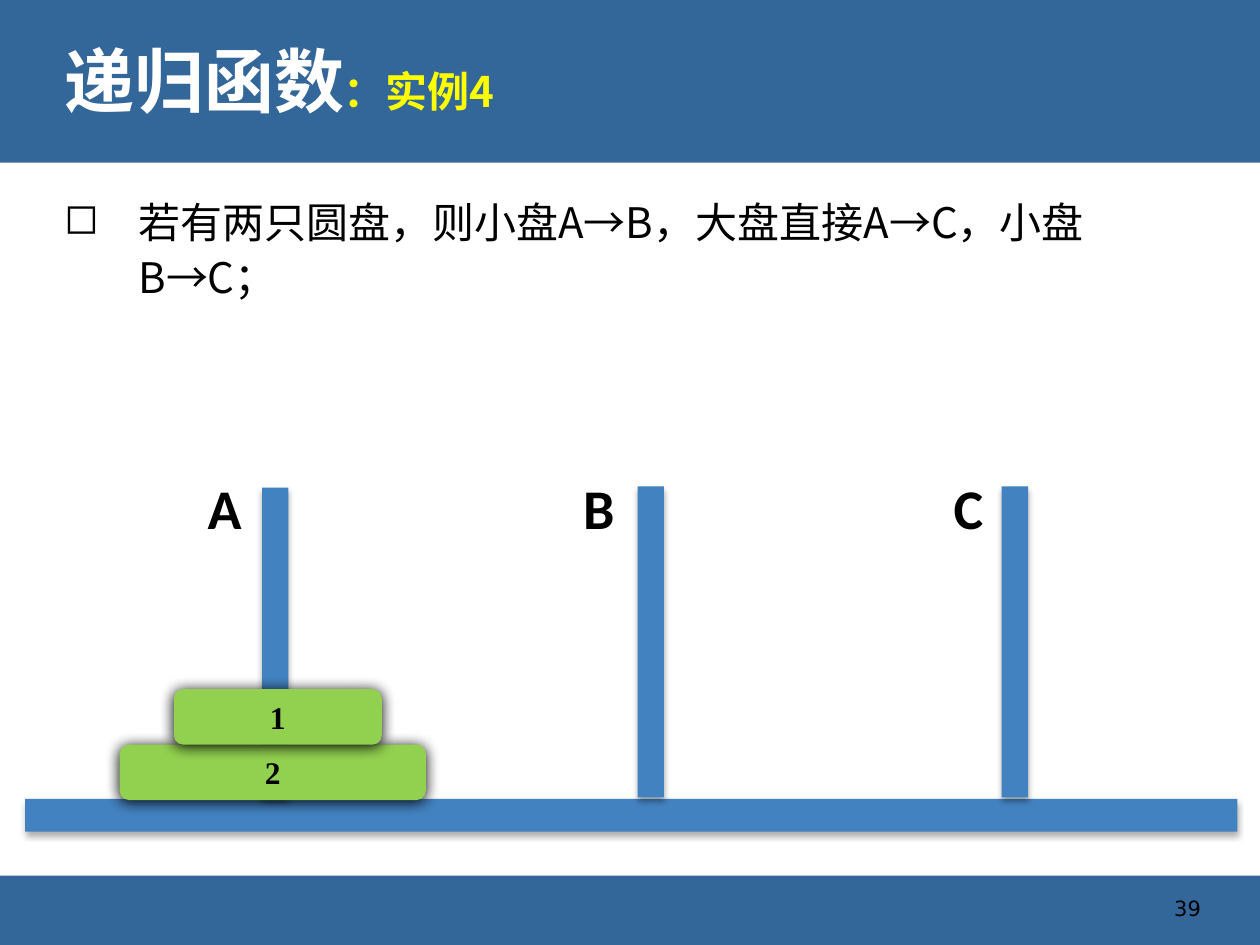
import pptx
import pptx.util
import pptx.dml.color
import pptx.enum.shapes
import pptx.enum.text
import pptx.oxml.ns
from lxml import etree

Inches = pptx.util.Inches
Pt = pptx.util.Pt
qn = pptx.oxml.ns.qn
SHAPE = pptx.enum.shapes.MSO_SHAPE
ALIGN = pptx.enum.text.PP_ALIGN
ANCHOR = pptx.enum.text.MSO_ANCHOR

COLORS = {"band": "336699", "wood": "4382C1", "disc": "92D050",
          "black": "000000", "white": "FFFFFF", "yellow": "FFFF00"}
CJK = "Noto Sans CJK SC"
WOOD_SHADOW = (32, 3.5, 2.2)  # opacity %, blur pt, distance pt
DISC_SHADOW = (100, 8.5, 1)


def rgb(name):
    return pptx.dml.color.RGBColor.from_string(COLORS[name])


def format_run(r, size, font, color="black", bold=False):
    r.font.size = Pt(size)
    r.font.name = font
    r.font.bold = bold
    r.font.color.rgb = rgb(color)
    if font == CJK:
        ea = etree.SubElement(r.font._element, qn("a:ea"))
        ea.set("typeface", font)


def add_shadow(s, opacity, blur, distance):
    effects = s._element.spPr.find(qn("a:effectLst"))
    shadow = etree.SubElement(effects, qn("a:outerShdw"), blurRad=str(Pt(blur)),
                              dist=str(Pt(distance)), dir="5400000", rotWithShape="0")
    color = etree.SubElement(shadow, qn("a:srgbClr"), val=COLORS["black"])
    etree.SubElement(color, qn("a:alpha"), val=str(opacity * 1000))


def add_block(slide, box, color, shadow=None, kind=SHAPE.RECTANGLE):
    s = slide.shapes.add_shape(kind, *map(Inches, box))
    s.shadow.inherit = False
    s.fill.solid()
    s.fill.fore_color.rgb = rgb(color)
    s.line.fill.background()
    if shadow:
        add_shadow(s, *shadow)
    return s


def add_text(slide, box, text, size, font, bold=False, wrap=True):
    s = slide.shapes.add_textbox(*map(Inches, box))
    tf = s.text_frame
    tf.word_wrap = wrap
    tf.text = text
    format_run(tf.paragraphs[0].runs[0], size, font, bold=bold)
    return tf


def add_bullet(p, char, indent):
    pPr = p._p.get_or_add_pPr()
    pPr.set("marL", str(Inches(indent)))
    pPr.set("indent", str(-Inches(indent)))
    color = etree.SubElement(pPr, qn("a:buClr"))
    etree.SubElement(color, qn("a:srgbClr"), val=COLORS["black"])
    etree.SubElement(pPr, qn("a:buChar"), char=char)


def add_disc(slide, number, left, top, width):
    s = add_block(slide, (left, top, width, 0.44), "disc", DISC_SHADOW,
                  SHAPE.ROUNDED_RECTANGLE)
    s.adjustments[0] = 0.167
    tf = s.text_frame
    tf.vertical_anchor = ANCHOR.MIDDLE
    tf.text = number
    p = tf.paragraphs[0]
    p.alignment = ALIGN.CENTER
    format_run(p.runs[0], 18, "Times New Roman", bold=True)


def set_title(slide, parts):
    s = slide.shapes.title
    s.left, s.top, s.width, s.height = map(Inches, (0.41, 0.18, 9.19, 0.99))
    tf = s.text_frame
    tf.auto_size = pptx.enum.text.MSO_AUTO_SIZE.NONE
    tf.vertical_anchor = ANCHOR.MIDDLE
    p = tf.paragraphs[0]
    p.alignment = ALIGN.LEFT
    p.line_spacing = 0.9
    for text, size, color in parts:
        r = p.add_run()
        r.text = text
        format_run(r, size, CJK, color, bold=True)
    # Bring the title in front of the header band
    slide.shapes._spTree.append(s._element)


def main():
    prs = pptx.Presentation()
    prs.slide_width, prs.slide_height = Inches(10), Inches(7.5)
    slide = prs.slides.add_slide(prs.slide_layouts[5])

    # Header and footer bands, title, page number
    add_block(slide, (0, 0, 10, 1.29), "band")
    add_block(slide, (0, 6.95, 10, 0.55), "band")
    set_title(slide, [("递归函数", 40, "white"), ("：实例4", 24, "yellow")])
    tf = add_text(slide, (7.23, 7.01, 2.4, 0.4), "39", 12, "DejaVu Sans")
    tf.vertical_anchor = ANCHOR.MIDDLE
    tf.paragraphs[0].alignment = ALIGN.RIGHT

    # Explanation
    tf = add_text(slide, (0.41, 1.47, 9.19, 5.28),
                  "若有两只圆盘，则小盘A→B，大盘直接A→C，小盘B→C；", 24, CJK)
    p = tf.paragraphs[0]
    p.line_spacing = 1.1
    add_bullet(p, "◻", 0.59)

    # Base and labelled pegs
    add_block(slide, (0.2, 6.34, 9.62, 0.26), "wood", WOOD_SHADOW)
    for name, label_left, left, top in (("A", 1.55, 2.08, 3.87),
                                        ("B", 4.53, 5.06, 3.86),
                                        ("C", 7.47, 7.95, 3.86)):
        add_block(slide, (left, top, 0.21, 2.47), "wood", WOOD_SHADOW)
        add_text(slide, (label_left, 3.71, 0.44, 0.64), name, 32, "Calibri",
                 bold=True, wrap=False)

    # Discs, larger one first
    add_disc(slide, "2", 0.95, 5.91, 2.43)
    add_disc(slide, "1", 1.38, 5.47, 1.65)

    prs.save("out.pptx")


if __name__ == "__main__":
    main()
